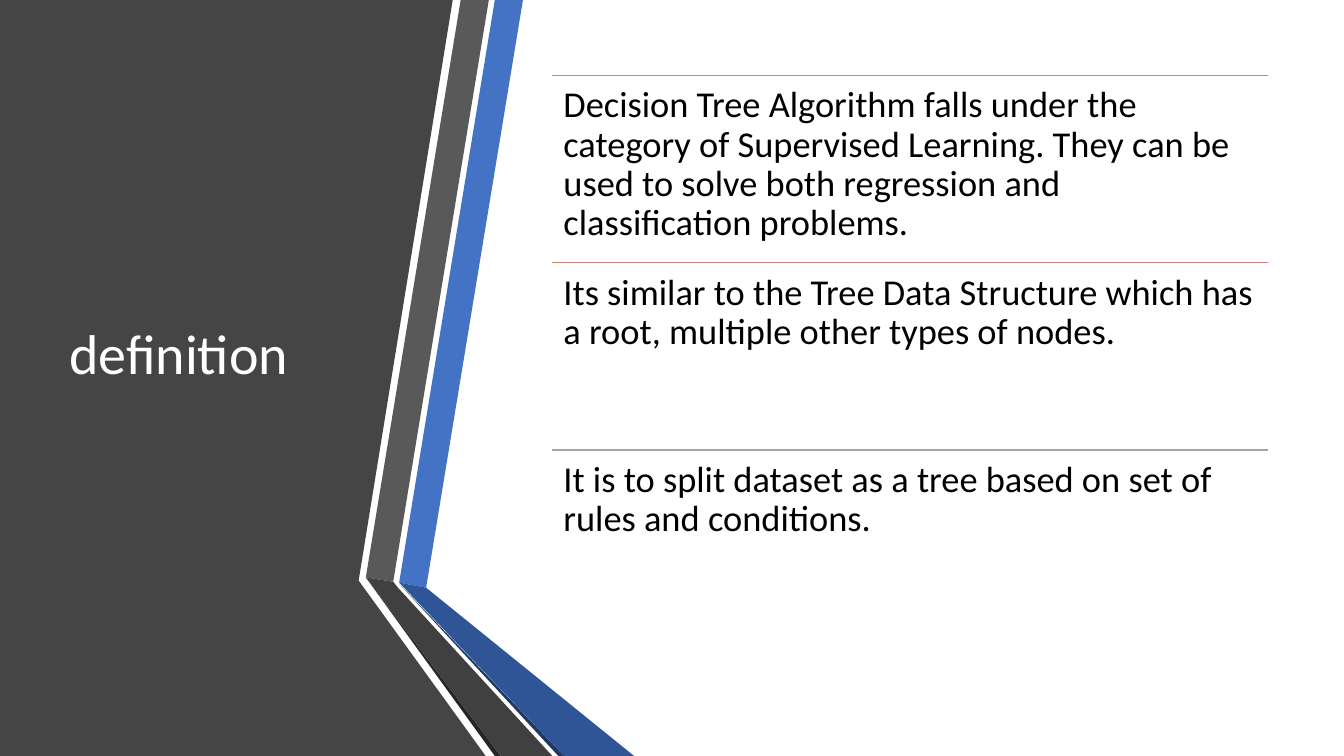
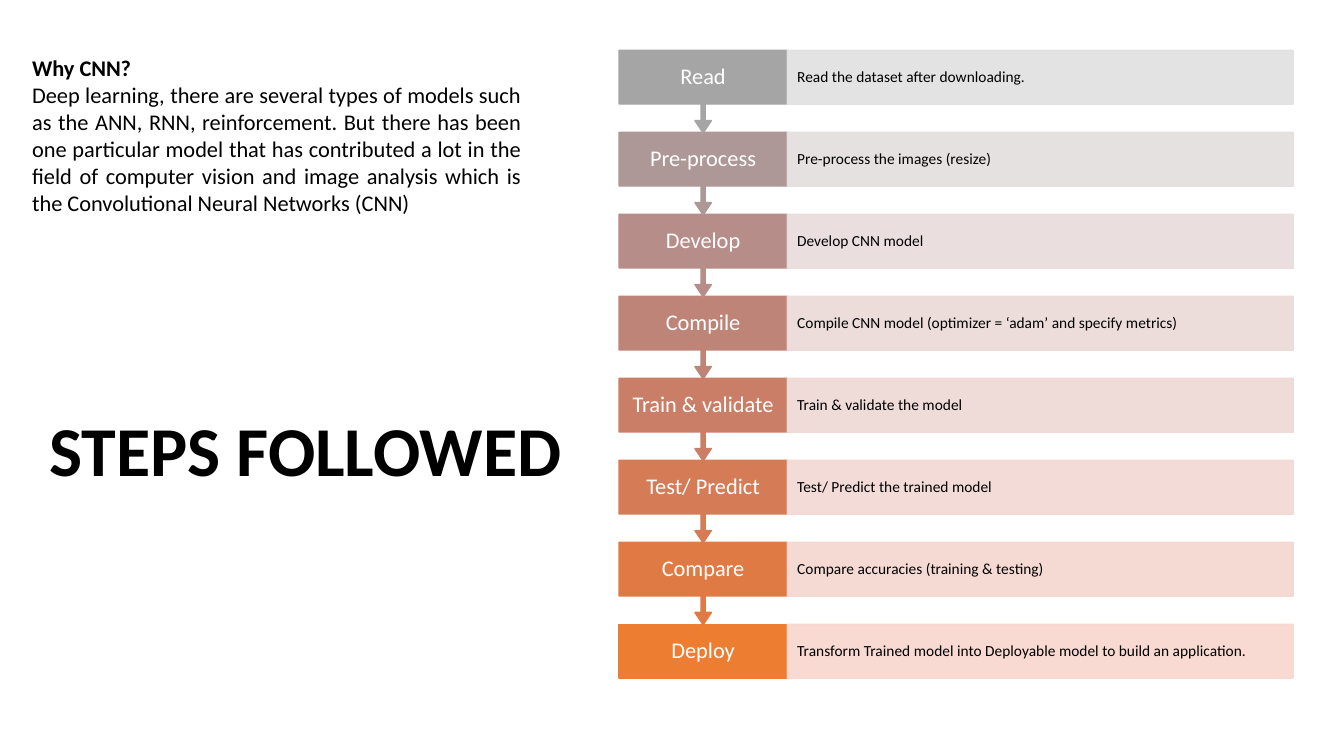
from lxml import etree
from pptx import Presentation
from pptx.dml.color import RGBColor
from pptx.enum.shapes import MSO_CONNECTOR, MSO_SHAPE
from pptx.enum.text import MSO_ANCHOR, MSO_AUTO_SIZE, PP_ALIGN
from pptx.oxml.ns import qn
from pptx.util import Cm, Pt

RECT, CALLOUT = MSO_SHAPE.RECTANGLE, MSO_SHAPE.UP_ARROW_CALLOUT
STRAIGHT = MSO_CONNECTOR.STRAIGHT
TOP, MIDDLE = MSO_ANCHOR.TOP, MSO_ANCHOR.MIDDLE
LEFT, CENTER, JUSTIFY = PP_ALIGN.LEFT, PP_ALIGN.CENTER, PP_ALIGN.JUSTIFY
NO_AUTOFIT = MSO_AUTO_SIZE.NONE

FONT = "Calibri"
TITLE_ONLY = 5
WIDTH, HEIGHT = 33.87, 19.05
BLACK = RGBColor(0x00, 0x00, 0x00)
WHITE = RGBColor(0xFF, 0xFF, 0xFF)
PANEL = RGBColor(0x45, 0x45, 0x45)
BLUE = RGBColor(0x44, 0x72, 0xC4)
BLUE_FOLD = RGBColor(0x2F, 0x55, 0x97)
BLUE_EDGE = RGBColor(0x20, 0x38, 0x64)
GREY = RGBColor(0x59, 0x59, 0x59)
GREY_FOLD = RGBColor(0x40, 0x40, 0x40)
GREY_EDGE = RGBColor(0x26, 0x26, 0x26)
ORANGE = RGBColor(0xED, 0x7D, 0x31)
ROSE = RGBColor(0xC4, 0x81, 0x70)
SILVER = RGBColor(0xA5, 0xA5, 0xA5)

BANDS = [
    (PANEL, [(0, 0), (11.41, 0), (9.04, 14.63), (12.24, HEIGHT), (0, HEIGHT)]),
    (BLUE, [(10.06, 14.68), (10.74, 14.81), (13.18, 0), (12.47, 0)]),
    (GREY, [(12.32, 0), (11.61, 0), (9.22, 14.55), (9.91, 14.66)]),
    (GREY_EDGE, [(9.22, 14.55), (12.47, HEIGHT), (12.62, HEIGHT)]),
    (BLUE_EDGE, [(10.06, 14.71), (14.07, HEIGHT), (14.22, HEIGHT)]),
    (BLUE_FOLD, [(10.06, 14.68), (14.22, HEIGHT), (15.98, HEIGHT), (10.74, 14.81)]),
    (GREY_FOLD, [(13.92, HEIGHT), (10.03, 14.81), (9.91, 14.66), (9.22, 14.55),
                 (12.62, HEIGHT)]),
]

POINTS = [
    (ORANGE, "Decision Tree Algorithm falls under the category of Supervised Learning. "
             "They can be used to solve both regression and classification problems."),
    (ROSE, "Its similar to the Tree Data Structure which has a root, "
           "multiple other types of nodes."),
    (SILVER, "It is to split dataset as a tree based on set of rules and conditions."),
]
POINT_LEFT, POINT_TOP, POINT_W, POINT_H = 13.92, 1.9, 18.03, 4.72

STEPS = [
    ("Read", "Read the dataset after downloading.",
     SILVER, RGBColor(0xE1, 0xE1, 0xE1)),
    ("Pre-process", "Pre-process the images (resize)",
     RGBColor(0xAD, 0x98, 0x97), RGBColor(0xE4, 0xDE, 0xDE)),
    ("Develop", "Develop CNN model",
     RGBColor(0xB6, 0x8D, 0x88), RGBColor(0xE8, 0xDC, 0xDB)),
    ("Compile", "Compile CNN model (optimizer = ‘adam’ and specify metrics)",
     RGBColor(0xBF, 0x84, 0x78), RGBColor(0xEB, 0xDA, 0xD8)),
    ("Train & validate", "Train & validate the model",
     RGBColor(0xCA, 0x7E, 0x67), RGBColor(0xEE, 0xD9, 0xD5)),
    ("Test/ Predict", "Test/ Predict the trained model",
     RGBColor(0xD5, 0x7B, 0x56), RGBColor(0xF2, 0xD8, 0xD3)),
    ("Compare", "Compare accuracies (training & testing)",
     RGBColor(0xE0, 0x7A, 0x44), RGBColor(0xF5, 0xD7, 0xD0)),
    ("Deploy", "Transform Trained model into Deployable model to build an application.",
     ORANGE, RGBColor(0xF8, 0xD7, 0xCE)),
]
STEP_LEFT, STEP_TOP, LAST_TOP = 15.6, 1.27, 15.73
STEP_PITCH = (LAST_TOP - STEP_TOP) / (len(STEPS) - 1)
LABEL_W, DETAIL_W, STEP_H, CALLOUT_H = 4.24, 12.75, 1.36, 2.08
CALLOUT_ADJUSTMENTS = (0.05, 0.1, 0.15, 0.65)

WHY_HEAD = "Why CNN?"
WHY_BODY = ("Deep learning, there are several types of models such as the ANN, RNN, "
            "reinforcement. But there has been one particular model that has contributed "
            "a lot in the field of computer vision and image analysis which is the "
            "Convolutional Neural Networks (CNN)")


def write(sp, lines, size, color=BLACK, align=LEFT, anchor=TOP,
          inset=(0.25, 0.13), spacing=0.9):
    tf = sp.text_frame
    tf.word_wrap = True
    tf.auto_size = NO_AUTOFIT
    tf.vertical_anchor = anchor
    tf.margin_left = tf.margin_right = Cm(inset[0])
    tf.margin_top = tf.margin_bottom = Cm(inset[1])
    for i, (text, bold) in enumerate(lines):
        p = tf.add_paragraph() if i else tf.paragraphs[0]
        p.alignment = align
        p.line_spacing = spacing
        p.space_before = Pt(0)
        r = p.add_run()
        r.text = text
        r.font.name = FONT
        r.font.size = Pt(size)
        r.font.bold = bold
        r.font.color.rgb = color


def add_title(s, text, box, size, color, bold=False):
    sp = s.shapes.title
    sp.left, sp.top, sp.width, sp.height = map(Cm, box)
    write(sp, [(text, bold)], size, color, anchor=MIDDLE)
    tree = sp.element.getparent()
    tree.append(sp.element)


def add_text(s, box, lines, size, **style):
    write(s.shapes.add_textbox(*map(Cm, box)), lines, size, **style)


def add_block(s, kind, box, color):
    sp = s.shapes.add_shape(kind, *map(Cm, box))
    sp.shadow.inherit = False
    sp.fill.solid()
    sp.fill.fore_color.rgb = color
    sp.line.color.rgb = color
    sp.line.width = Pt(1)
    return sp


def add_band(s, color, points):
    corners = [(Cm(x), Cm(y)) for x, y in points]
    builder = s.shapes.build_freeform(*corners[0])
    builder.add_line_segments(corners[1:], close=True)
    sp = builder.convert_to_shape()
    sp.shadow.inherit = False
    sp.fill.solid()
    sp.fill.fore_color.rgb = color
    sp.line.fill.background()


def add_rule(s, left, top, width, color):
    rule = s.shapes.add_connector(STRAIGHT, Cm(left), Cm(top), Cm(left + width), Cm(top))
    rule.line.color.rgb = color
    rule.line.width = Pt(1)
    etree.SubElement(rule.element.spPr, qn("a:effectLst"))


def make_translucent(sp, percent):
    for clr in sp.element.spPr.iter(qn("a:srgbClr")):
        etree.SubElement(clr, qn("a:alpha")).set("val", str(percent * 1000))


def add_step(s, i):
    label, detail, color, tint = STEPS[i]
    top = STEP_TOP + i * STEP_PITCH
    label_box = (STEP_LEFT, top, LABEL_W, STEP_H)
    if i == len(STEPS) - 1:
        add_block(s, RECT, label_box, color)
    else:
        sp = add_block(s, CALLOUT, (STEP_LEFT, top, LABEL_W, CALLOUT_H), color)
        sp.rotation = 180
        for k, value in enumerate(CALLOUT_ADJUSTMENTS):
            sp.adjustments[k] = value
    add_text(s, label_box, [(label, False)], 16, color=WHITE, align=CENTER,
             anchor=MIDDLE, inset=(0.3, 0.3))
    sp = add_block(s, RECT, (STEP_LEFT + LABEL_W, top, DETAIL_W, STEP_H), tint)
    make_translucent(sp, 90)
    write(sp, [(detail, False)], 11, anchor=MIDDLE, inset=(0.25, 0.38))


def build_definition(prs):
    s = prs.slides.add_slide(prs.slide_layouts[TITLE_ONLY])
    for color, points in BANDS:
        add_band(s, color, points)
    add_title(s, "definition", (1.5, 1.9, 7.72, 14.17), 40, WHITE)
    for i, (color, text) in enumerate(POINTS):
        top = POINT_TOP + i * POINT_H
        add_rule(s, POINT_LEFT, top, POINT_W, color)
        add_text(s, (POINT_LEFT, top, POINT_W, POINT_H), [(text, False)], 26,
                 inset=(0.28, 0.28))


def build_steps(prs):
    s = prs.slides.add_slide(prs.slide_layouts[TITLE_ONLY])
    add_title(s, "STEPS FOLLOWED", (0.99, 5.79, 13.51, 11.3), 50, BLACK, bold=True)
    for i in reversed(range(len(STEPS))):
        add_step(s, i)
    add_text(s, (0.56, 1.24, 12.83, 5.74), [(WHY_HEAD, True), (WHY_BODY, False)], 16,
             align=JUSTIFY, spacing=1.0)


def main():
    prs = Presentation()
    prs.slide_width, prs.slide_height = Cm(WIDTH), Cm(HEIGHT)
    build_definition(prs)
    build_steps(prs)
    prs.save("out.pptx")


if __name__ == "__main__":
    main()
